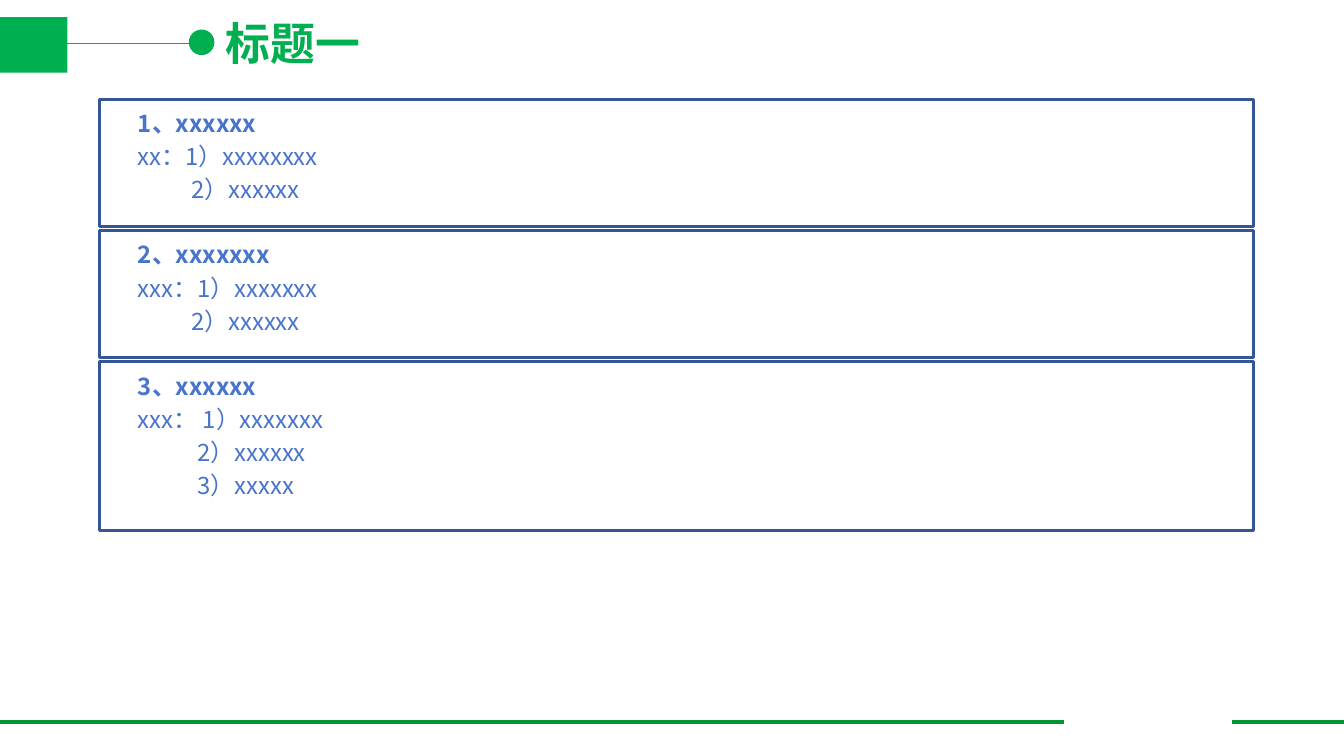
from pptx import Presentation
from pptx.dml.color import RGBColor
from pptx.enum.shapes import MSO_CONNECTOR as Connector, MSO_SHAPE as Shape
from pptx.enum.text import MSO_ANCHOR as Anchor, PP_ALIGN as Align
from pptx.oxml.ns import qn
from pptx.util import Inches, Pt
from dataclasses import dataclass

# Content: heading, label line, numbered lines, indent of the numbered lines
TITLE = "标题一"
SECTIONS = [
    ("1、xxxxxx", "xx：1）xxxxxxxx", ["2）xxxxxx"], 0.81),
    ("2、xxxxxxx", "xxx：1）xxxxxxx", ["2）xxxxxx"], 0.81),
    ("3、xxxxxx", "xxx： 1）xxxxxxx", ["2）xxxxxx", "3）xxxxx"], 0.87),
]


@dataclass(frozen=True)
class Theme:
    font: str = "Noto Sans CJK SC"
    green: RGBColor = RGBColor(0x00, 0xB0, 0x50)
    footer: RGBColor = RGBColor(0x00, 0x95, 0x30)
    border: RGBColor = RGBColor(0x35, 0x56, 0x96)
    text: RGBColor = RGBColor(0x48, 0x74, 0xCB)
    title_size: float = 32
    text_size: float = 17.1


theme = Theme()
WIDTH, HEIGHT = 13.33, 7.5
BOX_LEFT, BOX_TOP, BOX_WIDTH = 0.99, 0.99, 11.44
LINE_HEIGHT, BOX_PADDING, BOX_GAP = 0.41, 0.03, 0.04
TEXT_INDENT, LINE_SPACING = 0.28, 1.15


def style(para, size, color, bold):
    para.alignment = Align.LEFT
    font = para.font
    font.size, font.bold, font.name = Pt(size), bold, theme.font
    font.color.rgb = color
    defaults = para._p.pPr.find(qn("a:defRPr"))
    east_asian = defaults.makeelement(qn("a:ea"), {"typeface": theme.font})
    defaults.find(qn("a:latin")).addnext(east_asian)


def add_line(start, end, y, color, weight):
    line = slide.shapes.add_connector(
        Connector.STRAIGHT, Inches(start), Inches(y), Inches(end), Inches(y))
    line.line.color.rgb, line.line.width = color, Pt(weight)
    properties = line._element.spPr
    properties.append(properties.makeelement(qn("a:effectLst"), {}))


def add_block(kind, left, top, width, height, fill=None, border=None, weight=1):
    block = slide.shapes.add_shape(
        kind, Inches(left), Inches(top), Inches(width), Inches(height))
    block.shadow.inherit = False
    if fill is None:
        block.fill.background()
    else:
        block.fill.solid()
        block.fill.fore_color.rgb = fill
    if border is None:
        block.line.fill.background()
    else:
        block.line.color.rgb, block.line.width = border, Pt(weight)
    return block


deck = Presentation()
deck.slide_width, deck.slide_height = Inches(WIDTH), Inches(HEIGHT)
slide = deck.slides.add_slide(deck.slide_layouts[5])

# Footer rule in two parts
for start, end in [(0, 10.55), (12.22, WIDTH)]:
    add_line(start, end, 7.16, theme.footer, 3)

# Title with its marker
title = slide.shapes.title
title.left, title.top = Inches(2.11), Inches(0.09)
title.width, title.height = Inches(1.62), Inches(0.67)
frame = title.text_frame
frame.text = TITLE
frame.word_wrap = False
frame.vertical_anchor = Anchor.MIDDLE
frame.margin_left = frame.margin_right = Inches(0.13)
frame.margin_top = frame.margin_bottom = Inches(0.07)
style(frame.paragraphs[0], theme.title_size, theme.green, True)

add_line(0, 1.98, 0.43, theme.green, 1)
add_block(Shape.OVAL, 1.88, 0.3, 0.24, 0.24, theme.green, theme.green)
add_block(Shape.RECTANGLE, 0, 0.17, 0.67, 0.55, theme.green)

# Stacked section boxes, each as tall as its lines
top = BOX_TOP
for heading, label, items, item_indent in SECTIONS:
    lines = [(heading, TEXT_INDENT), (label, TEXT_INDENT)]
    lines += [(item, item_indent) for item in items]
    height = len(lines) * LINE_HEIGHT + BOX_PADDING
    box = add_block(Shape.RECTANGLE, BOX_LEFT, top, BOX_WIDTH, height,
                    border=theme.border, weight=2.25)
    frame = box.text_frame
    frame.word_wrap = True
    frame.vertical_anchor = Anchor.TOP
    for index, (text, indent) in enumerate(lines):
        para = frame.paragraphs[0] if index == 0 else frame.add_paragraph()
        para.text = text
        para.line_spacing = LINE_SPACING
        para._p.get_or_add_pPr().set("indent", str(Inches(indent)))
        style(para, theme.text_size, theme.text, index == 0)
    top += height + BOX_GAP

deck.save("out.pptx")
